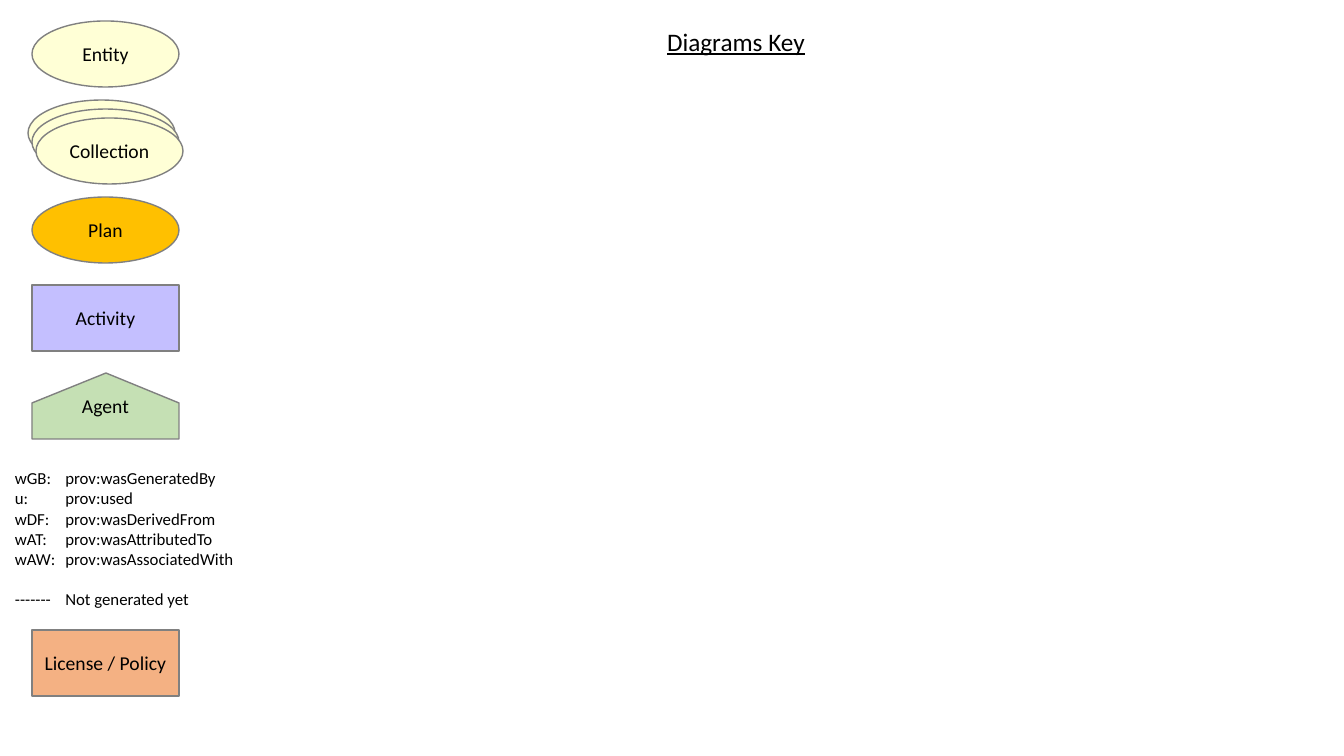
"""Build the key slide for provenance diagrams."""
import pptx
import pptx.dml.color
import pptx.enum.shapes
import pptx.enum.text
import pptx.util

EMU_PER_PIXEL = 914400 / 100.8
NODE_LEFT, NODE_WIDTH, NODE_HEIGHT = 32, 147, 66
ROOF_HEIGHT = 30
ENTITY_FILL, PLAN_FILL, ACTIVITY_FILL = "FFFFD6", "FFC000", "C4BFFF"
AGENT_FILL, POLICY_FILL, OUTLINE = "C5E0B4", "F4B183", "808080"
OVAL = pptx.enum.shapes.MSO_SHAPE.OVAL
RECTANGLE = pptx.enum.shapes.MSO_SHAPE.RECTANGLE
RELATIONS = [
    ("wGB:", "prov:wasGeneratedBy"),
    ("u:", "prov:used"),
    ("wDF:", "prov:wasDerivedFrom"),
    ("wAT:", "prov:wasAttributedTo"),
    ("wAW:", "prov:wasAssociatedWith"),
    ("-------", "Not generated yet"),
]


def pixels(*lengths):
    """Turn pixel lengths into EMU."""
    return [pptx.util.Emu(round(length * EMU_PER_PIXEL)) for length in lengths]


def color(hex_code):
    """Return the colour for a hex string."""
    return pptx.dml.color.RGBColor.from_string(hex_code)


def set_attributes(target, values):
    """Set each named attribute on the target."""
    for name, value in values.items():
        setattr(target, name, value)


def write_text(paragraph, text, size, underline=False):
    """Add one formatted run to a paragraph."""
    run = paragraph.add_run()
    run.text = text
    set_attributes(run.font, {"name": "Calibri", "size": pptx.util.Pt(size),
                              "underline": underline})
    run.font.color.rgb = color("000000")


def style_node(shape, fill, label=""):
    """Give a node its fill, outline and centred label."""
    shape.shadow.inherit = False
    shape.fill.solid()
    shape.fill.fore_color.rgb = color(fill)
    shape.line.color.rgb = color(OUTLINE)
    shape.line.width = pptx.util.Pt(1)
    if label:
        shape.text_frame.vertical_anchor = pptx.enum.text.MSO_ANCHOR.MIDDLE
        paragraph = shape.text_frame.paragraphs[0]
        paragraph.alignment = pptx.enum.text.PP_ALIGN.CENTER
        write_text(paragraph, label, 14)


def add_node(shapes, kind, top, fill, label="", left=NODE_LEFT):
    """Add a preset node of the common size."""
    box = pixels(left, top, NODE_WIDTH, NODE_HEIGHT)
    style_node(shapes.add_shape(kind, *box), fill, label)


def add_collection(shapes, top, label):
    """Add a grouped stack of three entities with the label in front."""
    group = shapes.add_group_shape()
    for step, text in enumerate(["", "", label]):
        add_node(group.shapes, OVAL, top + 9 * step, ENTITY_FILL, text,
                 NODE_LEFT + 4 * (step - 1))


def add_agent(shapes, top, label):
    """Add a house-shaped agent node."""
    right, bottom = NODE_LEFT + NODE_WIDTH, top + NODE_HEIGHT
    eaves = top + ROOF_HEIGHT
    builder = shapes.build_freeform(NODE_LEFT + NODE_WIDTH / 2, top, EMU_PER_PIXEL)
    builder.add_line_segments([(right, eaves), (right, bottom),
                               (NODE_LEFT, bottom), (NODE_LEFT, eaves)])
    style_node(builder.convert_to_shape(), AGENT_FILL, label)


def add_text_box(shapes, box, wrap):
    """Add a text box and return its text frame."""
    frame = shapes.add_textbox(*pixels(*box)).text_frame
    frame.word_wrap = wrap
    return frame


def add_relations(shapes):
    """Add the tabbed list of relation abbreviations."""
    frame = add_text_box(shapes, (5, 463, 297, 152), True)
    for index, relation in enumerate(RELATIONS):
        paragraph = frame.add_paragraph() if index else frame.paragraphs[0]
        write_text(paragraph, "\t".join(relation), 12)
    paragraph.space_before = pptx.util.Pt(14.5)


def main():
    """Build and save the slide."""
    presentation = pptx.Presentation()
    set_attributes(presentation, {"slide_width": pptx.util.Inches(13.33),
                                  "slide_height": pptx.util.Inches(7.5)})
    slide = presentation.slides.add_slide(presentation.slide_layouts[6])
    shapes = slide.shapes
    title = add_text_box(shapes, (657, 21, 159, 40), False)
    write_text(title.paragraphs[0], "Diagrams Key", 18, underline=True)
    add_node(shapes, OVAL, 21, ENTITY_FILL, "Entity")
    add_collection(shapes, 100, "Collection")
    add_node(shapes, OVAL, 197, PLAN_FILL, "Plan")
    add_node(shapes, RECTANGLE, 285, ACTIVITY_FILL, "Activity")
    add_agent(shapes, 373, "Agent")
    add_relations(shapes)
    add_node(shapes, RECTANGLE, 630, POLICY_FILL, "License / Policy")
    presentation.save("out.pptx")


main()
